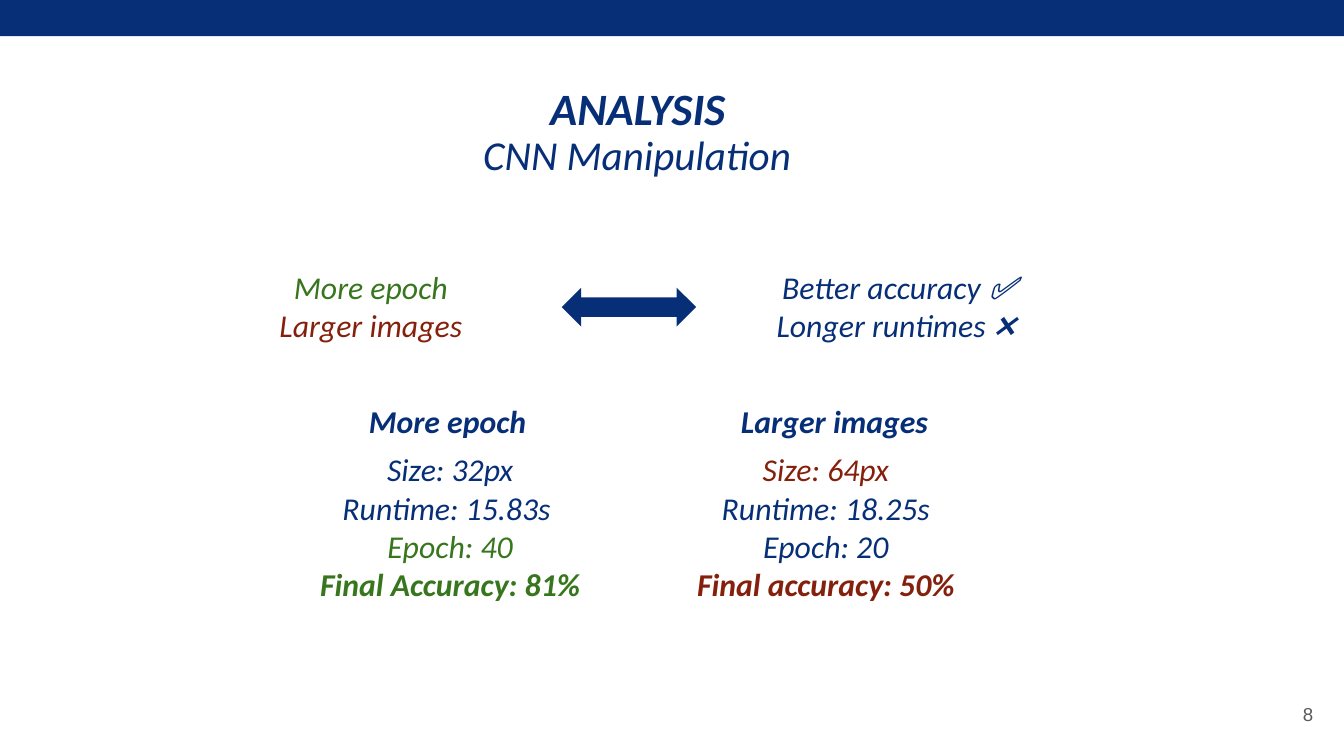
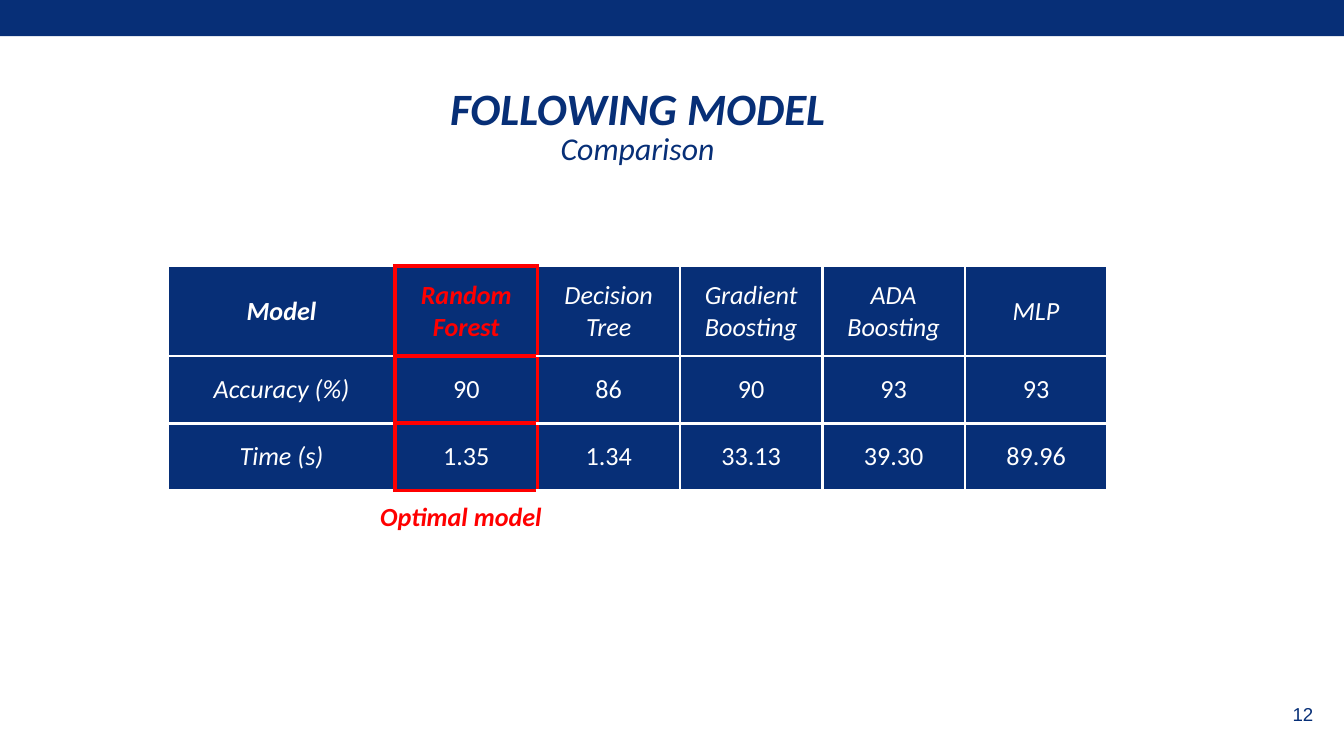
from dataclasses import dataclass

import lxml.etree
import pptx
import pptx.dml.color
import pptx.enum.shapes
import pptx.enum.text
import pptx.oxml.ns
import pptx.util

Inches = pptx.util.Inches
Align = pptx.enum.text.PP_ALIGN
Anchor = pptx.enum.text.MSO_ANCHOR
Shape = pptx.enum.shapes.MSO_SHAPE


@dataclass(frozen=True)
class Theme:
    navy: str = "072F77"
    green: str = "38761D"
    brown: str = "85200C"
    red: str = "FF0000"
    white: str = "FFFFFF"
    grey: str = "595959"
    text_font: str = "Calibri"
    number_font: str = "Arial"
    title: float = 24
    subtitle: float = 22
    body: float = 17
    table: float = 14
    number: float = 10
    grid_line: float = 1.5
    optimal_line: float = 2.25


THEME = Theme()


@dataclass(frozen=True)
class Line:
    text: str
    color: str = THEME.navy
    size: float = THEME.body
    bold: bool = False
    italic: bool = True
    font: str = THEME.text_font


@dataclass(frozen=True)
class Block:
    left: float
    top: float
    width: float
    height: float
    lines: tuple[Line, ...]
    align: Align = Align.CENTER
    anchor: Anchor = Anchor.TOP
    spacing: float = 1.0
    grows: bool = True


def rgb(color: str) -> pptx.dml.color.RGBColor:
    return pptx.dml.color.RGBColor.from_string(color)


def write_line(paragraph, line: Line, align: Align = Align.CENTER) -> None:
    paragraph.alignment = align
    run = paragraph.add_run()
    run.text = line.text
    run.font.color.rgb = rgb(line.color)
    formats = {
        "name": line.font,
        "size": pptx.util.Pt(line.size),
        "bold": line.bold,
        "italic": line.italic,
    }
    for name, value in formats.items():
        setattr(run.font, name, value)


def set_margins(target) -> None:
    for side in ("left", "top", "right", "bottom"):
        setattr(target, f"margin_{side}", Inches(0.1))


def draw_block(slide, block: Block) -> None:
    box = slide.shapes.add_textbox(
        Inches(block.left), Inches(block.top), Inches(block.width), Inches(block.height)
    )
    frame = box.text_frame
    set_margins(frame)
    sizing = pptx.enum.text.MSO_AUTO_SIZE
    formats = {
        "word_wrap": True,
        "vertical_anchor": block.anchor,
        "auto_size": sizing.SHAPE_TO_FIT_TEXT if block.grows else sizing.NONE,
    }
    for name, value in formats.items():
        setattr(frame, name, value)
    for index, line in enumerate(block.lines):
        paragraph = frame.add_paragraph() if index else frame.paragraphs[0]
        paragraph.line_spacing = block.spacing
        write_line(paragraph, line, block.align)


def draw_solid(slide, kind: Shape, left: float, top: float, width: float, height: float) -> None:
    solid = slide.shapes.add_shape(
        kind, Inches(left), Inches(top), Inches(width), Inches(height)
    )
    solid.shadow.inherit = False
    solid.fill.solid()
    solid.fill.fore_color.rgb = rgb(THEME.navy)
    solid.line.fill.background()


def start_slide(deck, title: str, number: str, number_color: str):
    slide = deck.slides.add_slide(deck.slide_layouts[6])
    slide.background.fill.solid()
    slide.background.fill.fore_color.rgb = rgb(THEME.white)
    draw_solid(slide, Shape.RECTANGLE, -0.01, 0, 10.01, 0.27)
    heading = Line(title, size=THEME.title, bold=True)
    page = Line(number, number_color, THEME.number, italic=False, font=THEME.number_font)
    draw_block(slide, Block(0.34, 0.45, 8.81, 0.65, (heading,),
                            anchor=Anchor.BOTTOM, spacing=1.15, grows=False))
    draw_block(slide, Block(9.27, 5.1, 0.6, 0.43, (page,),
                            align=Align.RIGHT, anchor=Anchor.MIDDLE, grows=False))
    return slide


def build_analysis(deck) -> None:
    slide = start_slide(deck, "ANALYSIS", "8", THEME.grey)
    blocks = (
        Block(3.1, 0.86, 3.28, 0.57, (Line("CNN Manipulation", size=THEME.subtitle),)),
        Block(1.71, 3.25, 3.28, 1.35, (
            Line("Size: 32px"),
            Line("Runtime: 15.83s "),
            Line("Epoch: 40", THEME.green),
            Line("Final Accuracy: 81%", THEME.green, bold=True),
        )),
        Block(4.52, 3.25, 3.25, 1.35, (
            Line("Size: 64px", THEME.brown),
            Line("Runtime: 18.25s"),
            Line("Epoch: 20"),
            Line("Final accuracy: 50%", THEME.brown, bold=True),
        )),
        Block(5.29, 1.89, 2.8, 0.77, (
            Line("Better accuracy ✅"),
            Line("Longer runtimes ❌ "),
        )),
        Block(1.39, 1.89, 2.74, 0.77, (
            Line("More epoch", THEME.green),
            Line("Larger images", THEME.brown),
        )),
        Block(1.39, 2.89, 3.88, 0.49, (Line("More epoch", bold=True),)),
        Block(4.27, 2.89, 3.88, 0.49, (Line("Larger images", bold=True),)),
    )
    for block in blocks:
        draw_block(slide, block)
    draw_solid(slide, Shape.LEFT_RIGHT_ARROW, 4.18, 2.14, 1, 0.29)


MODEL_RESULTS = (
    ("Model", "Random Forest", "Decision Tree", "Gradient Boosting", "ADA Boosting", "MLP"),
    ("Accuracy (%)", "90", "86", "90", "93", "93"),
    ("Time (s)", "1.35", "1.34", "33.13", "39.30", "89.96"),
)
COLUMN_WIDTHS = (1.69,) + (1.06,) * 5
ROW_HEIGHTS = (0.67, 0.5, 0.5)
OPTIMAL_COLUMN = 1


def set_borders(cell, red_sides: str) -> None:
    qn = pptx.oxml.ns.qn
    properties = cell._tc.get_or_add_tcPr()
    for position, side in enumerate("LRTB"):
        optimal = side in red_sides
        width = THEME.optimal_line if optimal else THEME.grid_line
        border = lxml.etree.Element(qn(f"a:ln{side}"), w=str(pptx.util.Pt(width)))
        fill = lxml.etree.SubElement(border, qn("a:solidFill"))
        lxml.etree.SubElement(
            fill, qn("a:srgbClr"), val=THEME.red if optimal else THEME.white
        )
        properties.insert(position, border)


def draw_results(slide) -> None:
    results = slide.shapes.add_table(
        len(ROW_HEIGHTS), len(COLUMN_WIDTHS), Inches(1.25), Inches(1.98),
        Inches(sum(COLUMN_WIDTHS)), Inches(sum(ROW_HEIGHTS)),
    ).table
    for column, width in zip(results.columns, COLUMN_WIDTHS):
        column.width = Inches(width)
    for row, height in zip(results.rows, ROW_HEIGHTS):
        row.height = Inches(height)
    red_sides = {OPTIMAL_COLUMN - 1: "R", OPTIMAL_COLUMN: "LRTB", OPTIMAL_COLUMN + 1: "L"}
    for r, values in enumerate(MODEL_RESULTS):
        for c, value in enumerate(values):
            cell = results.cell(r, c)
            set_margins(cell)
            cell.vertical_anchor = Anchor.MIDDLE
            cell.fill.solid()
            cell.fill.fore_color.rgb = rgb(THEME.navy)
            set_borders(cell, red_sides.get(c, ""))
            color = THEME.red if r == 0 and c == OPTIMAL_COLUMN else THEME.white
            write_line(cell.text_frame.paragraphs[0], Line(
                value, color, THEME.table,
                bold=r == 0 and c <= OPTIMAL_COLUMN, italic=r == 0 or c == 0,
            ))


def build_comparison(deck) -> None:
    slide = start_slide(deck, "FOLLOWING MODEL", "12", THEME.navy)
    draw_block(slide, Block(1.31, 0.86, 6.87, 0.49, (Line("Comparison"),)))
    draw_results(slide)
    optimal = Line("Optimal model", THEME.red, THEME.table, bold=True)
    draw_block(slide, Block(1.77, 3.62, 3.32, 0.44, (optimal,)))


def main() -> None:
    deck = pptx.Presentation()
    deck.slide_width = Inches(10)
    deck.slide_height = Inches(10 * 9 / 16)
    build_analysis(deck)
    build_comparison(deck)
    deck.save("out.pptx")


if __name__ == "__main__":
    main()
